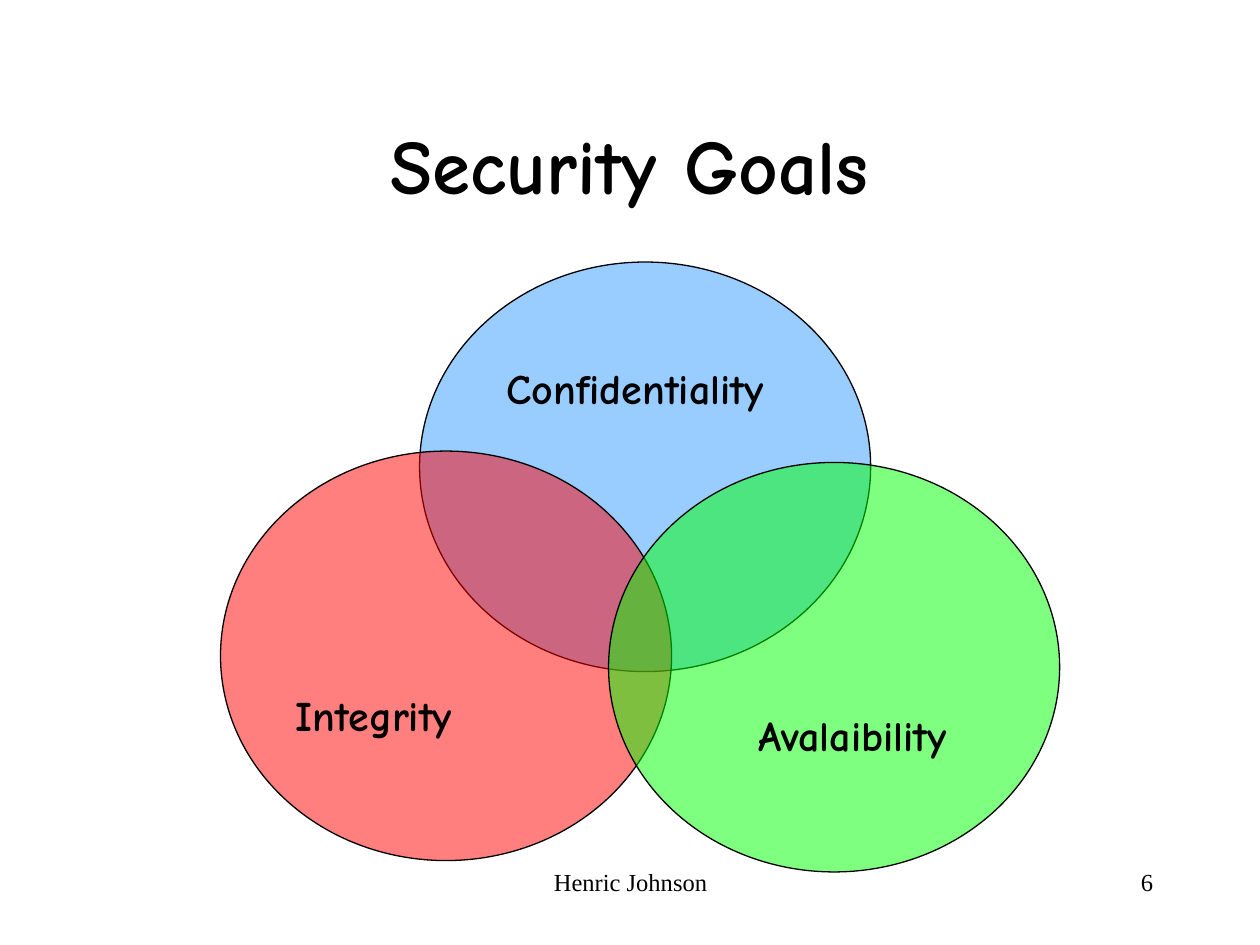
import pptx
import pptx.util
import pptx.dml.color
import pptx.enum.shapes
import pptx.enum.text
import pptx.oxml.ns
import lxml.etree

Inches = pptx.util.Inches
Pt = pptx.util.Pt
ALIGN = pptx.enum.text.PP_ALIGN
ANCHOR = pptx.enum.text.MSO_ANCHOR
COLORS = {"ink": "000000", "blue": "99CCFF", "red": "FF0000", "green": "00FF00"}
COMIC = "Comic Neue"
TIMES = "Times New Roman"


def color(name):
    return pptx.dml.color.RGBColor.from_string(COLORS[name])


def add_text(slide, text, box, size, face, bold=False, align=ALIGN.LEFT,
             anchor=ANCHOR.TOP, before=0):
    frame = slide.shapes.add_textbox(*map(Inches, box)).text_frame
    frame.word_wrap = True
    frame.vertical_anchor = anchor
    para = frame.paragraphs[0]
    para.alignment = align
    para.space_before = Pt(before)
    run = para.add_run()
    run.text = text
    run.font.name = face
    run.font.size = Pt(size)
    run.font.bold = bold
    run.font.color.rgb = color("ink")


def add_circle(slide, left, top, fill, alpha):
    shape = slide.shapes.add_shape(
        pptx.enum.shapes.MSO_SHAPE.OVAL,
        Inches(left), Inches(top), Inches(3.58), Inches(3.25))
    shape.shadow.inherit = False
    shape.fill.solid()
    shape.fill.fore_color.rgb = color(fill)
    shape.line.color.rgb = color("ink")
    shape.line.width = Pt(0.75)
    if alpha < 100:
        qn = pptx.oxml.ns.qn
        tint = shape.fill._xPr.find(qn("a:solidFill")).find(qn("a:srgbClr"))
        lxml.etree.SubElement(tint, qn("a:alpha")).set("val", str(alpha * 1000))


def main():
    deck = pptx.Presentation()
    deck.slide_width = Inches(10)
    deck.slide_height = Inches(7.5)
    slide = deck.slides.add_slide(deck.slide_layouts[6])

    add_text(slide, "Security Goals", (0.75, 0.67, 8.5, 1.25), 44, COMIC,
             bold=True, align=ALIGN.CENTER, anchor=ANCHOR.MIDDLE)

    for left, top, fill, alpha in (
            (3.33, 2.08, "blue", 100),
            (1.75, 3.58, "red", 50),
            (4.83, 3.67, "green", 50)):
        add_circle(slide, left, top, fill, alpha)

    for goal, left, top, width in (
            ("Integrity", 2.25, 5.42, 2.17),
            ("Confidentiality", 3.92, 2.83, 2.67),
            ("Avalaibility", 5.92, 5.58, 2.25)):
        add_text(slide, goal, (left, top, width, 0.5), 24, COMIC,
                 bold=True, before=15)

    add_text(slide, "Henric Johnson", (3.42, 6.83, 3.17, 0.5), 14, TIMES,
             align=ALIGN.CENTER)
    add_text(slide, "6", (7.17, 6.83, 2.08, 0.5), 14, TIMES, align=ALIGN.RIGHT)

    deck.save("out.pptx")


if __name__ == "__main__":
    main()
